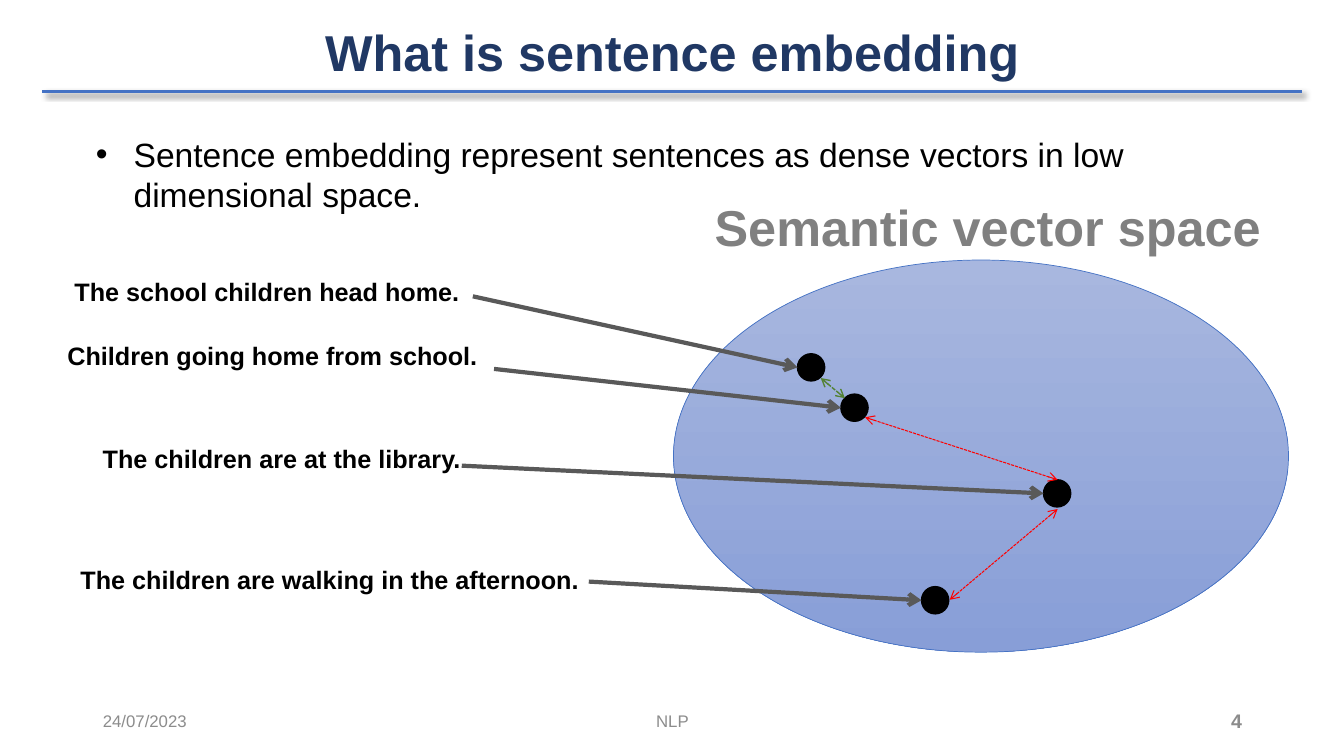
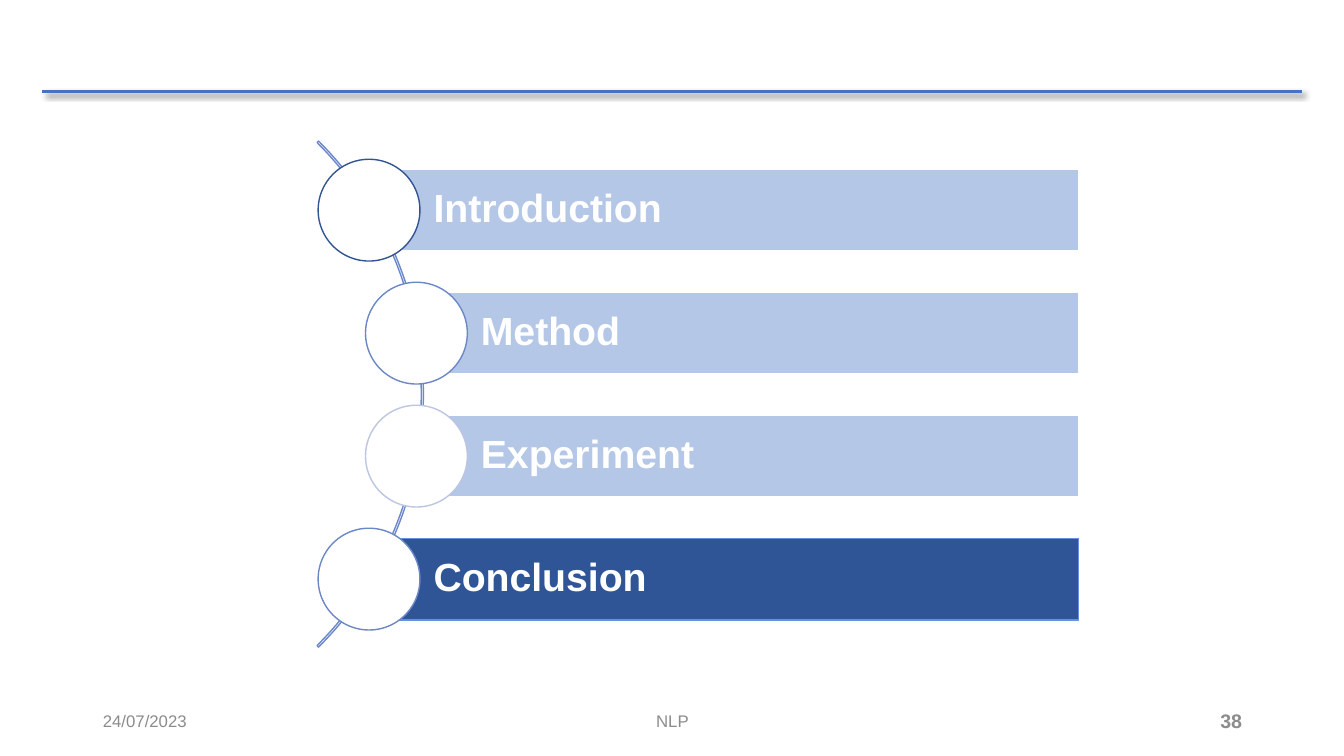
from copy import deepcopy
from dataclasses import dataclass

from lxml.etree import SubElement
from pptx import Presentation
from pptx.dml.color import RGBColor
from pptx.enum.dml import MSO_LINE
from pptx.enum.shapes import MSO_CONNECTOR, MSO_SHAPE
from pptx.enum.text import MSO_ANCHOR, MSO_AUTO_SIZE, PP_ALIGN
from pptx.oxml.ns import qn
from pptx.util import Inches, Pt

STRAIGHT = MSO_CONNECTOR.STRAIGHT
OVAL, RECTANGLE, BLOCK_ARC = MSO_SHAPE.OVAL, MSO_SHAPE.RECTANGLE, MSO_SHAPE.BLOCK_ARC
DASH = MSO_LINE.SQUARE_DOT
LEFT, CENTER, RIGHT = PP_ALIGN.LEFT, PP_ALIGN.CENTER, PP_ALIGN.RIGHT
TOP, MIDDLE = MSO_ANCHOR.TOP, MSO_ANCHOR.MIDDLE
NO_AUTOFIT = MSO_AUTO_SIZE.NONE


@dataclass(frozen=True)
class Theme:
    font: str = "Arial"
    accent: RGBColor = RGBColor.from_string("4472C4")
    title: RGBColor = RGBColor.from_string("203864")
    black: RGBColor = RGBColor.from_string("000000")
    white: RGBColor = RGBColor.from_string("FFFFFF")
    footer: RGBColor = RGBColor.from_string("8C8C8C")
    caption: RGBColor = RGBColor.from_string("808080")
    arrow: RGBColor = RGBColor.from_string("595959")
    near: RGBColor = RGBColor.from_string("548235")
    far: RGBColor = RGBColor.from_string("FF0000")
    space_top: RGBColor = RGBColor.from_string("A8B7DF")
    space_bottom: RGBColor = RGBColor.from_string("889ED7")
    arc: RGBColor = RGBColor.from_string("6D89CB")
    bar: RGBColor = RGBColor.from_string("B4C7E7")
    active_bar: RGBColor = RGBColor.from_string("2F5597")
    active_edge: RGBColor = RGBColor.from_string("698EE1")
    ring_dark: RGBColor = RGBColor.from_string("325491")
    ring: RGBColor = RGBColor.from_string("6C87C5")
    ring_pale: RGBColor = RGBColor.from_string("BCC6E2")
    title_size: int = 36
    bar_size: int = 28
    body_size: int = 24
    label_size: int = 18
    number_size: int = 14
    footer_size: int = 12


THEME = Theme()


def write(shape, text, size, color=THEME.black, bold=False, align=LEFT,
          anchor=TOP, spacing=1.0, inset=0.1):
    frame = shape.text_frame
    frame.text = text
    frame.word_wrap = True
    frame.auto_size = NO_AUTOFIT
    frame.vertical_anchor = anchor
    frame.margin_left = Inches(inset)
    paragraph = frame.paragraphs[0]
    paragraph.alignment = align
    paragraph.line_spacing = spacing
    paragraph.space_before = Pt(0)
    font = paragraph.runs[0].font
    font.name = THEME.font
    font.size = Pt(size)
    font.bold = bold
    font.color.rgb = color


def draw_line(slide, start, end, color, width, dash=None, ends=()):
    points = [Inches(value) for value in (*start, *end)]
    connector = slide.shapes.add_connector(STRAIGHT, *points)
    connector.line.color.rgb = color
    connector.line.width = Pt(width)
    if dash:
        connector.line.dash_style = dash
    properties = connector.element.spPr
    for end_name in ends:
        SubElement(properties.find(qn("a:ln")), qn(f"a:{end_name}"), type="arrow")
    SubElement(properties, qn("a:effectLst"))
    return connector


presentation = Presentation()
presentation.slide_width = Inches(13.33)
presentation.slide_height = Inches(7.5)
layout = presentation.slide_layouts[1]

PLACEHOLDER_BOXES = {
    0: (0.92, 0.23, 11.5, 1.45),
    1: (0.85, 1.28, 11.63, 0.91),
    10: (0.92, 6.95, 3, 0.4),
    11: (4.42, 6.95, 4.5, 0.4),
    12: (9.42, 6.95, 3, 0.4),
}
for placeholder in layout.placeholders:
    box = PLACEHOLDER_BOXES[placeholder.placeholder_format.idx]
    placeholder.left, placeholder.top, placeholder.width, placeholder.height = map(Inches, box)

embedding_slide = presentation.slides.add_slide(layout)
agenda_slide = presentation.slides.add_slide(layout)

title_rule = draw_line(embedding_slide, (0.42, 0.91), (12.91, 0.91), THEME.accent, 2.25)
effects = title_rule.element.spPr.find(qn("a:effectLst"))
shadow = SubElement(effects, qn("a:outerShdw"), blurRad=str(Pt(4)), dist=str(Pt(3)),
                    dir="2700000", algn="tl", rotWithShape="0")
shadow_color = SubElement(shadow, qn("a:srgbClr"), val=str(THEME.black))
SubElement(shadow_color, qn("a:alpha"), val="40000")
layout.element.cSld.spTree.append(title_rule.element)

for slide, number in ((embedding_slide, "4"), (agenda_slide, "38")):
    footers = {
        10: ("24/07/2023", THEME.footer_size, False, LEFT),
        11: ("NLP", THEME.footer_size, False, CENTER),
        12: (number, THEME.number_size, True, RIGHT),
    }
    for placeholder in layout.placeholders:
        index = placeholder.placeholder_format.idx
        if index in footers:
            text, size, bold, align = footers[index]
            slide.element.cSld.spTree.append(deepcopy(placeholder.element))
            write(slide.shapes[-1], text, size, color=THEME.footer, bold=bold,
                  align=align, anchor=MIDDLE)

write(embedding_slide.shapes.title, "What is sentence embedding", THEME.title_size,
      color=THEME.title, bold=True, align=CENTER, spacing=0.9)
write(embedding_slide.placeholders[1],
      "Sentence embedding represent sentences as dense vectors in low dimensional space.",
      THEME.body_size)

shapes = embedding_slide.shapes
vector_space = shapes.add_shape(OVAL, Inches(6.68), Inches(2.58), Inches(6.1), Inches(3.89))
vector_space.shadow.inherit = False
vector_space.fill.gradient()
vector_space.fill.gradient_angle = 270
for stop, color in zip(vector_space.fill.gradient_stops, (THEME.space_top, THEME.space_bottom)):
    stop.color.rgb = color
vector_space.line.color.rgb = THEME.accent
vector_space.line.width = Pt(0.5)

caption = shapes.add_textbox(Inches(6.99), Inches(1.9), Inches(6.1), Inches(0.71))
write(caption, "Semantic vector space", THEME.title_size, color=THEME.caption, bold=True)

DOT = 0.27
SENTENCES = (
    ("The school children head home.", (0.64, 2.69), (4.69, 2.94), (7.91, 3.51)),
    ("Children going home from school.", (0.57, 3.33), (4.9, 3.66), (8.34, 3.91)),
    ("The children are at the library.", (0.92, 4.35), (4.58, 4.62), (10.35, 4.76)),
    ("The children are walking in the afternoon.", (0.7, 5.55), (5.84, 5.77), (9.14, 5.82)),
)
for sentence, (left, top), arrow_start, (dot_left, dot_top) in SENTENCES:
    label = shapes.add_textbox(Inches(left), Inches(top), Inches(5.36), Inches(0.4))
    write(label, sentence, THEME.label_size, bold=True)
    dot = shapes.add_shape(OVAL, Inches(dot_left), Inches(dot_top), Inches(DOT), Inches(DOT))
    dot.shadow.inherit = False
    dot.fill.solid()
    dot.fill.fore_color.rgb = THEME.black
    dot.line.color.rgb = THEME.black
    dot.line.width = Pt(1)
    draw_line(embedding_slide, arrow_start, (dot_left, dot_top + DOT / 2), THEME.arrow, 3,
              ends=("tailEnd",))

DISTANCES = (
    ((8.14, 3.75), (8.38, 3.95), THEME.near, 1),
    ((8.58, 4.14), (10.49, 4.76), THEME.far, 0.75),
    ((9.42, 5.95), (10.49, 5.05), THEME.far, 0.75),
)
for start, end, color, width in DISTANCES:
    draw_line(embedding_slide, start, end, color, width, dash=DASH, ends=("headEnd", "tailEnd"))

for placeholder in (agenda_slide.shapes.title, agenda_slide.placeholders[1]):
    placeholder.element.getparent().remove(placeholder.element)

shapes = agenda_slide.shapes
arc = shapes.add_shape(BLOCK_ARC, Inches(-2.9), Inches(0.36), Inches(7.1), Inches(7.1))
for index, value in enumerate((189, 27, 0.003)):
    arc.adjustments[index] = value
arc.shadow.inherit = False
arc.fill.background()
arc.line.color.rgb = THEME.arc
arc.line.width = Pt(1)

BAR_TOP, BAR_PITCH, BAR_HEIGHT, BAR_RIGHT = 1.68, 1.22, 0.81, 10.7
RING = 1.01
SECTIONS = (
    ("Introduction", 3.66, THEME.bar, THEME.white, THEME.ring_dark),
    ("Method", 4.13, THEME.bar, THEME.white, THEME.ring),
    ("Experiment", 4.13, THEME.bar, THEME.white, THEME.ring_pale),
    ("Conclusion", 3.66, THEME.active_bar, THEME.active_edge, THEME.ring),
)
for row, (name, left, fill, edge, ring_color) in enumerate(SECTIONS):
    top = BAR_TOP + row * BAR_PITCH
    bar = shapes.add_shape(RECTANGLE, Inches(left), Inches(top),
                           Inches(BAR_RIGHT - left), Inches(BAR_HEIGHT))
    ring = shapes.add_shape(OVAL, Inches(left - RING / 2), Inches(top + (BAR_HEIGHT - RING) / 2),
                            Inches(RING), Inches(RING))
    for shape, fill_color, line_color in ((bar, fill, edge), (ring, THEME.white, ring_color)):
        shape.shadow.inherit = False
        shape.fill.solid()
        shape.fill.fore_color.rgb = fill_color
        shape.line.color.rgb = line_color
        shape.line.width = Pt(1)
    write(bar, name, THEME.bar_size, color=THEME.white, bold=True, anchor=MIDDLE,
          spacing=0.9, inset=0.64)

presentation.save("out.pptx")
